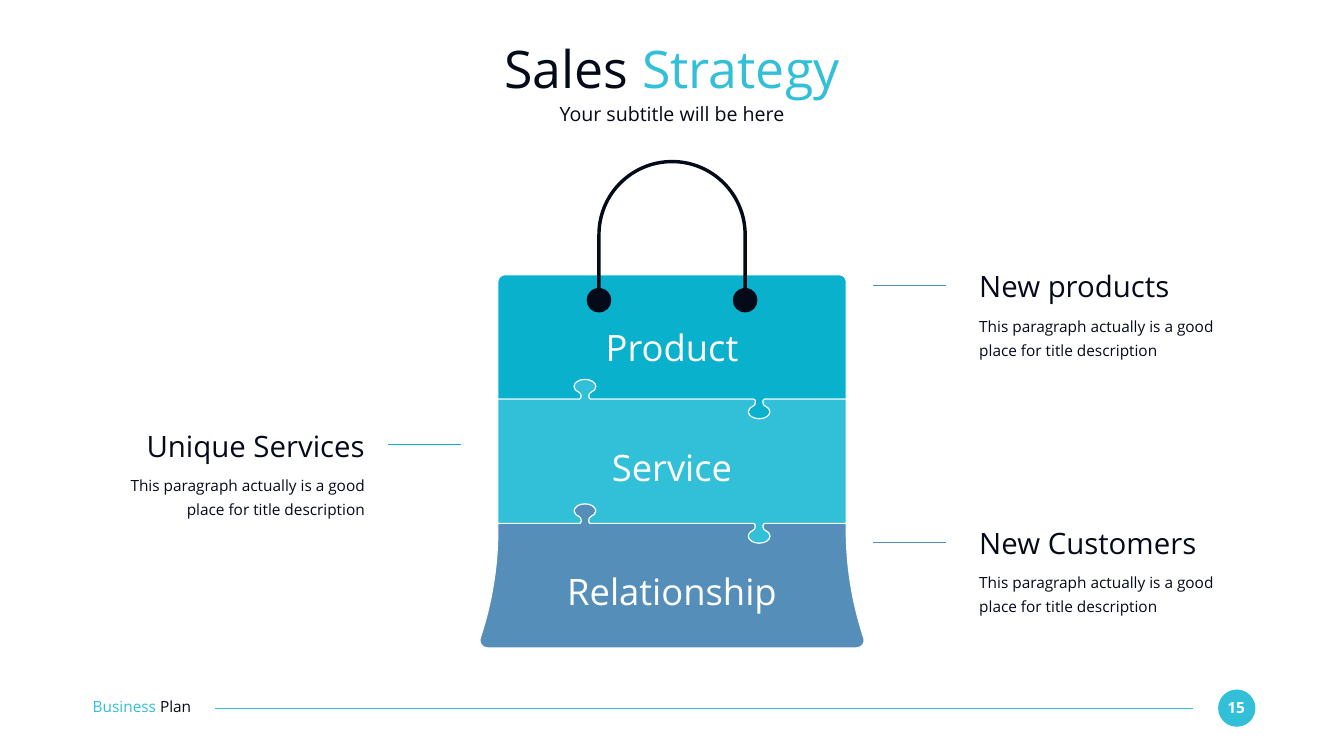
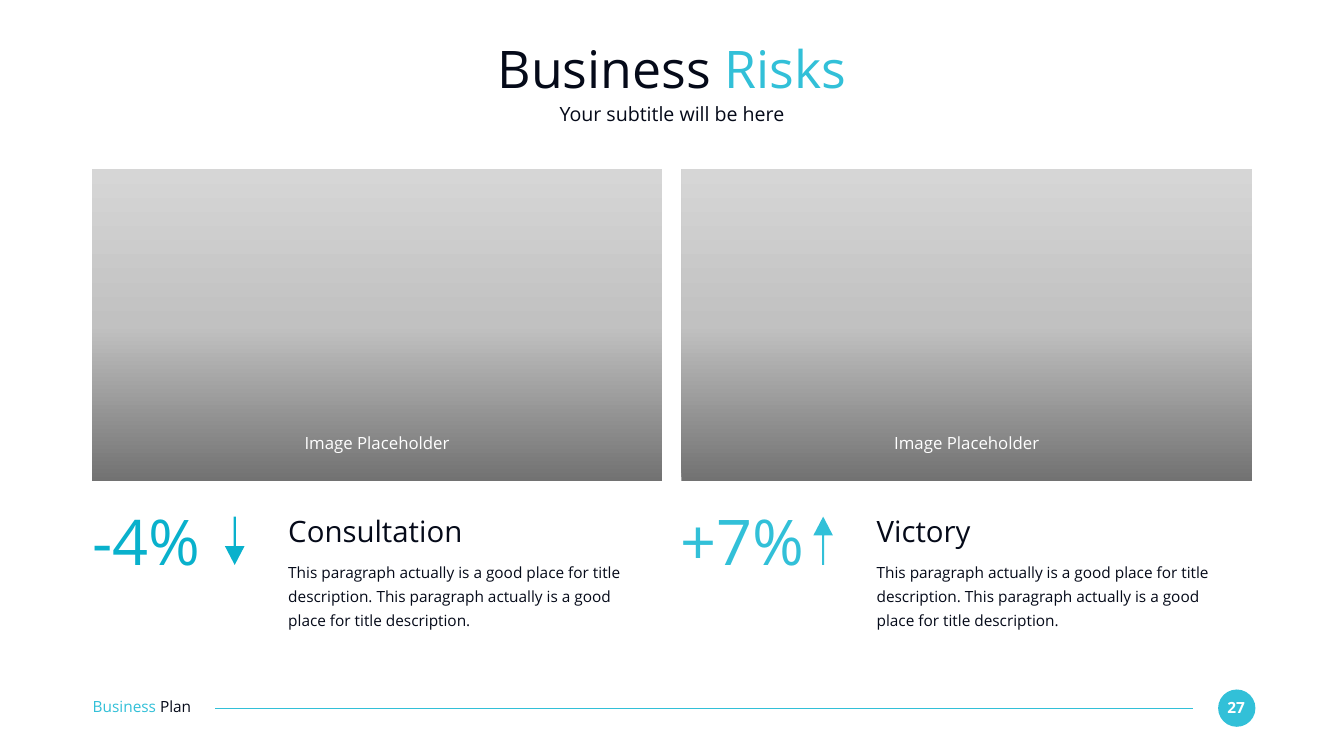
from collections import namedtuple
from copy import deepcopy
from math import cos, radians, sin, tan

from lxml.etree import SubElement
from pptx import Presentation
from pptx.dml.color import RGBColor
from pptx.enum.shapes import MSO_CONNECTOR, MSO_SHAPE
from pptx.enum.text import PP_ALIGN
from pptx.oxml.ns import qn
from pptx.util import Pt

INK = RGBColor(0x05, 0x0A, 0x19)
WHITE = RGBColor(0xFF, 0xFF, 0xFF)
TEAL = RGBColor(0x09, 0xB1, 0xCC)
AQUA = RGBColor(0x32, 0xC0, 0xD8)
STEEL = RGBColor(0x55, 0x8E, 0xB9)
GREYS = [(0, RGBColor(0x72, 0x72, 0x72)), (0.5, RGBColor(0xC1, 0xC1, 0xC1)),
         (1, RGBColor(0xD6, 0xD6, 0xD6))]
FONT = "Open Sans"
LEFT, CENTER, RIGHT = PP_ALIGN.LEFT, PP_ALIGN.CENTER, PP_ALIGN.RIGHT
BLURB = "This paragraph actually is a good place for title description"

Box = namedtuple("Box", "left top width height")
PAGE = Box(0, 0, 1920, 1080)
HEADER = Box(132, 52.56, 1656, 129)
FOOTER = Box(132.5, 985, 1661, 53.3)
BAG = Box(684.1, 228.4, 552, 697)
PICTURE = Box(131.04, 241.92, 815, 445)
PICTURE_STEP = 842.4
RISK = Box(131.76, 718.5, 778.3, 179.5)
RISK_STEP = 840.6

HALF_BODY = 248.8
TIER_HEIGHT = 177.6
KNOB = [(-7.6, 0), (-6.1, 0), (-5.4, -2.2), (-5.4, -4.3),
        (-5.4, -7.2), (-6.8, -9.4), (-9, -10.1),
        (-12.6, -11.5), (-15.5, -14.4), (-15.5, -18),
        (-15.5, -23.8), (-8.3, -28.1), (0, -28.1)]


def add_text(page, box, spans, size, align=LEFT, spacing=None, bold=None):
    """Add one paragraph made of (text, colour) spans."""
    frame = page.shapes.add_textbox(*map(Pt, box)).text_frame
    frame.word_wrap = True
    frame.margin_left = frame.margin_right = frame.margin_top = frame.margin_bottom = 0
    para = frame.paragraphs[0]
    para.alignment = align
    if spacing:
        para.line_spacing = spacing
    para.font.name, para.font.size, para.font.bold = FONT, Pt(size), bold
    if len(spans) == 1:
        para.font.color.rgb = spans[0][1]
    for text, color in spans:
        span = para.add_run()
        span.text = text
        if len(spans) > 1:
            span.font.color.rgb = color


def paint(shape, color, outline=None):
    """Give a shape a flat fill, an optional outline and no shadow."""
    shape.shadow.inherit = False
    shape.fill.solid()
    shape.fill.fore_color.rgb = color
    if outline is None:
        shape.line.fill.background()
    else:
        shape.line.color.rgb = outline
        shape.line.width = Pt(1.5)


def add_rule(page, start, end, y, color):
    """Add a thin horizontal line."""
    rule = page.shapes.add_connector(MSO_CONNECTOR.STRAIGHT, Pt(start), Pt(y), Pt(end), Pt(y))
    rule.line.color.rgb = color
    rule.line.width = Pt(1.5)
    SubElement(rule._element.spPr, qn("a:effectLst"))


def add_outline(page, chain, center, top, color, outline=None):
    """Add a closed outline from a chain of cubic curves."""
    corners = [((center + x) * 100, (top + y) * 100) for x, y in chain]
    builder = page.shapes.build_freeform(*corners[0], scale=Pt(0.01))
    builder.add_line_segments(corners[1:], close=True)
    shape = builder.convert_to_shape()
    segments = list(shape._element.iter(qn("a:lnTo")))
    for first in range(0, len(chain) - 1, 3):
        bend, *others = segments[first:first + 3]
        for other in others:
            bend.append(other[0])
            other.getparent().remove(other)
        bend.tag = qn("a:cubicBezTo")
    paint(shape, color, outline)


def arc(x, y, radius, *angles):
    """Give one cubic curve between each two angles, clockwise from the right."""
    chain = []
    for start, end in zip(map(radians, angles), map(radians, angles[1:])):
        reach = 4 / 3 * tan((end - start) / 4)
        curve = [(cos(start), sin(start)),
                 (cos(start) - reach * sin(start), sin(start) + reach * cos(start)),
                 (cos(end) + reach * sin(end), sin(end) - reach * cos(end)),
                 (cos(end), sin(end))]
        points = [(round(x + radius * dx, 2), round(y + radius * dy, 2)) for dx, dy in curve]
        chain += points[1:] if chain else points
    return chain


def join(*chains):
    """Link chains of curves, with a straight stretch where their ends differ."""
    linked = list(chains[0])
    for chain in chains[1:]:
        if linked[-1] != chain[0]:
            linked += [linked[-1], chain[0], chain[0]]
        linked += chain[1:]
    return linked


def mirrored(points):
    """Reflect points about the centre line and reverse their order."""
    return [(-x, y) for x, y in reversed(points)]


def seam(y):
    """Trace a jigsaw seam from left to right, one knob up and one down."""
    whole_knob = join(KNOB, mirrored(KNOB))
    knobs = [[(center + dx, y + direction * dy) for dx, dy in whole_knob]
             for center, direction in ((-HALF_BODY / 2, 1), (HALF_BODY / 2, -1))]
    return join([(-HALF_BODY, y)], *knobs, [(HALF_BODY, y)])


def add_bag(page, box):
    """Draw the bag of three jigsaw tiers with its handle and labels."""
    center = box.left + box.width / 2
    body = box.height - 3 * TIER_HEIGHT
    upper, lower = (seam(body + TIER_HEIGHT * tier) for tier in (1, 2))
    shoulder = arc(HALF_BODY - 10, body + 10, 10, -90, 0)
    flare_top, base = box.height - 168.5, box.height
    flare = [(HALF_BODY, flare_top), (HALF_BODY, flare_top + 52.6),
             (257.4, flare_top + 105.1), (274, base - 13.7),
             (276.1, base - 7.2), (271.1, base), (263.9, base)]
    tiers = [(join(lower, flare, mirrored(flare)), STEEL),
             (join(mirrored(shoulder), shoulder, upper[::-1]), TEAL),
             (join(upper, lower[::-1]), AQUA)]
    for chain, color in tiers:
        add_outline(page, chain, center, box.top, color, WHITE)
    handle = join(arc(0, 106.85, 106.85, -90, 0),
                  arc(104.4, 200.5, 17.6, -82, 0, 90, 180, 262),
                  arc(0, 106.85, 101.95, 0, -90))
    add_outline(page, join(handle, mirrored(handle)), center, box.top, INK)
    labels = [("Product", 71.8), ("Service", 65.6), ("Relationship", 64.8)]
    for tier, (label, drop) in enumerate(labels):
        top = box.top + body + tier * TIER_HEIGHT + drop
        add_text(page, Box(center - 189.7, top, 379.4, 63.4), [(label, WHITE)], 52, CENTER)


def add_callout(page, box, heading, align, color):
    """Place a heading, its description and a pointer towards the bag."""
    start = box.left - 47.5 if align == LEFT else box.left + box.width + 136.8
    add_rule(page, start, start - 103.7, box.top + 24.4, color)
    add_text(page, box._replace(height=51), [(heading, INK)], 42, align)
    add_text(page, box._replace(top=box.top + 61.2, height=66.2), [(BLURB, INK)], 22, align, 1.3)


def add_picture_area(page, box):
    """Place a shaded picture area with its label."""
    area = page.shapes.add_shape(MSO_SHAPE.RECTANGLE, *map(Pt, box))
    area.shadow.inherit = False
    area.line.fill.background()
    area.fill.gradient()
    area.fill.gradient_angle = 90
    stop_list = area._element.spPr.find(qn("a:gradFill")).find(qn("a:gsLst"))
    stop_list.append(deepcopy(stop_list[0]))
    for stop, (position, grey) in zip(area.fill.gradient_stops, GREYS):
        stop.position = position
        stop.color.rgb = grey
    add_text(page, Box(box.left + 154.1, box.top + 376.56, 507, 28.8),
             [("Image Placeholder", WHITE)], 24, CENTER)


def add_risk(page, box, figure, heading, color, rising):
    """Place a figure with its arrow beside a heading and a description."""
    words = Box(box.left + 280, box.top + 15.2, 498.2, 51)
    add_text(page, words, [(heading, INK)], 42)
    add_text(page, words._replace(top=box.top + 78.7, height=100.8),
             [(f"{BLURB}. {BLURB}.", INK)], 22, spacing=1.3)
    add_text(page, Box(box.left, box.top, 183.6, 108.7), [(figure, color)], 90)
    arrow = page.shapes.add_shape(MSO_SHAPE.DOWN_ARROW, Pt(box.left + 189.5),
                                  Pt(box.top + 19.5), Pt(28.1), Pt(69.1))
    arrow.adjustments[0], arrow.adjustments[1] = 0.11, 0.96
    arrow.rotation = 180 if rising else 0
    paint(arrow, color)


def add_header(page, box, plain, accent):
    """Place the two-colour title and the subtitle."""
    add_text(page, box._replace(height=91.4), [(plain, INK), (accent, AQUA)], 74, CENTER)
    add_text(page, box._replace(top=box.top + 93.6, height=35.3),
             [("Your subtitle will be here", INK)], 28, CENTER)


def add_footer(page, box, number):
    """Place the deck name, the line and the page number badge."""
    badge_left = box.left + box.width - box.height
    badge = page.shapes.add_shape(MSO_SHAPE.OVAL, Pt(badge_left), Pt(box.top),
                                  Pt(box.height), Pt(box.height))
    paint(badge, AQUA)
    add_text(page, Box(badge_left + 4.3, box.top + 12.2, 42.5, 26.6),
             [(str(number), WHITE)], 22, CENTER, bold=True)
    add_rule(page, badge_left - 36, box.left + 175, box.top + box.height / 2, AQUA)
    add_text(page, Box(box.left, box.top + 11.5, 186.5, 26.6),
             [("Business ", AQUA), ("Plan", INK)], 22)


def add_page(deck, plain, accent, number):
    """Add a blank slide with the shared footer and header."""
    page = deck.slides.add_slide(deck.slide_layouts[6])
    add_footer(page, FOOTER, number)
    add_header(page, HEADER, plain, accent)
    return page


def add_strategy_page(deck):
    """Build the sales strategy slide."""
    page = add_page(deck, "Sales ", "Strategy", 15)
    add_bag(page, BAG)
    callouts = [(131.76, 611.28, "Unique Services", RIGHT, TEAL),
                (1398.9, 750.24, "New Customers", LEFT, STEEL),
                (1398.9, 383.7, "New products", LEFT, STEEL)]
    for left, top, heading, align, color in callouts:
        add_callout(page, Box(left, top, 389.5, 127.4), heading, align, color)


def add_risks_page(deck):
    """Build the business risks slide."""
    page = add_page(deck, "Business ", "Risks", 27)
    risks = [("-4%", "Consultation", TEAL, False), ("+7%", "Victory", AQUA, True)]
    for column, risk in enumerate(risks):
        add_risk(page, RISK._replace(left=RISK.left + column * RISK_STEP), *risk)
    for column in range(len(risks)):
        add_picture_area(page, PICTURE._replace(left=PICTURE.left + column * PICTURE_STEP))


def main():
    """Build and save the deck."""
    deck = Presentation()
    deck.slide_width, deck.slide_height = Pt(PAGE.width), Pt(PAGE.height)
    add_strategy_page(deck)
    add_risks_page(deck)
    deck.save("out.pptx")


if __name__ == "__main__":
    main()
